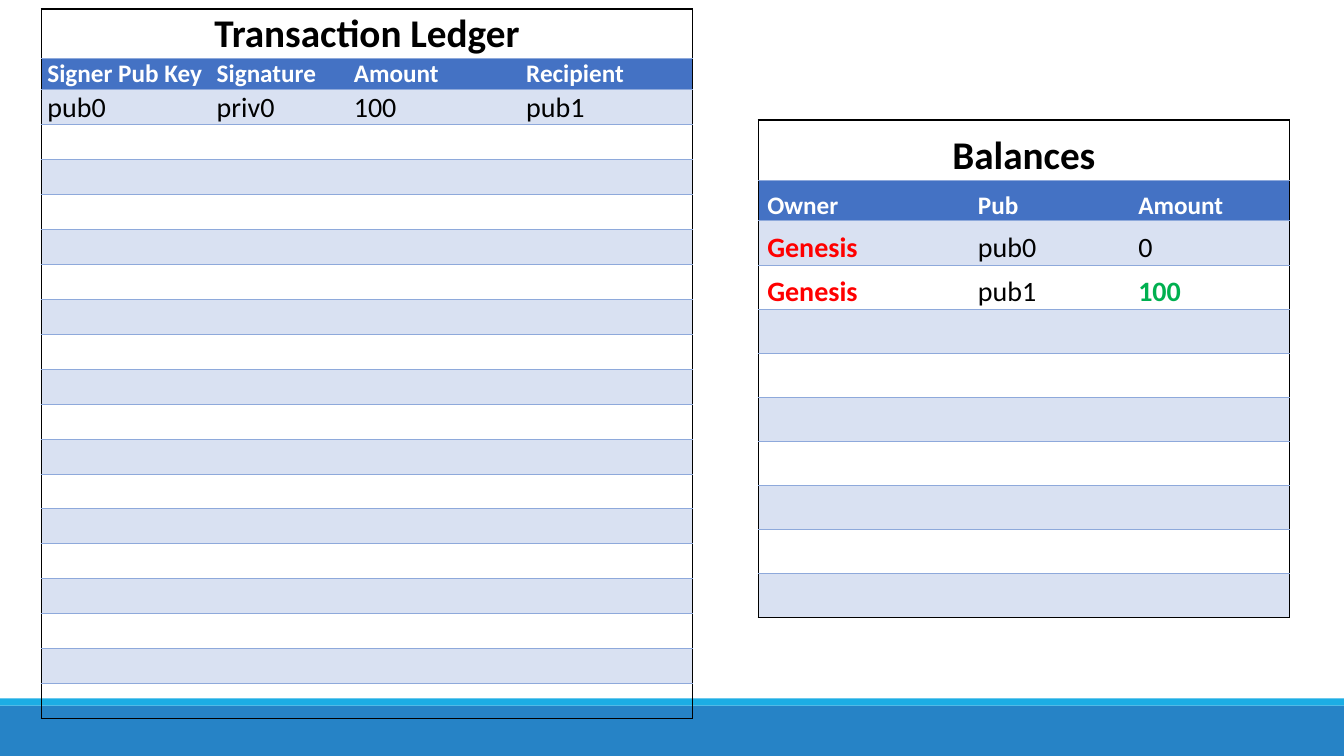
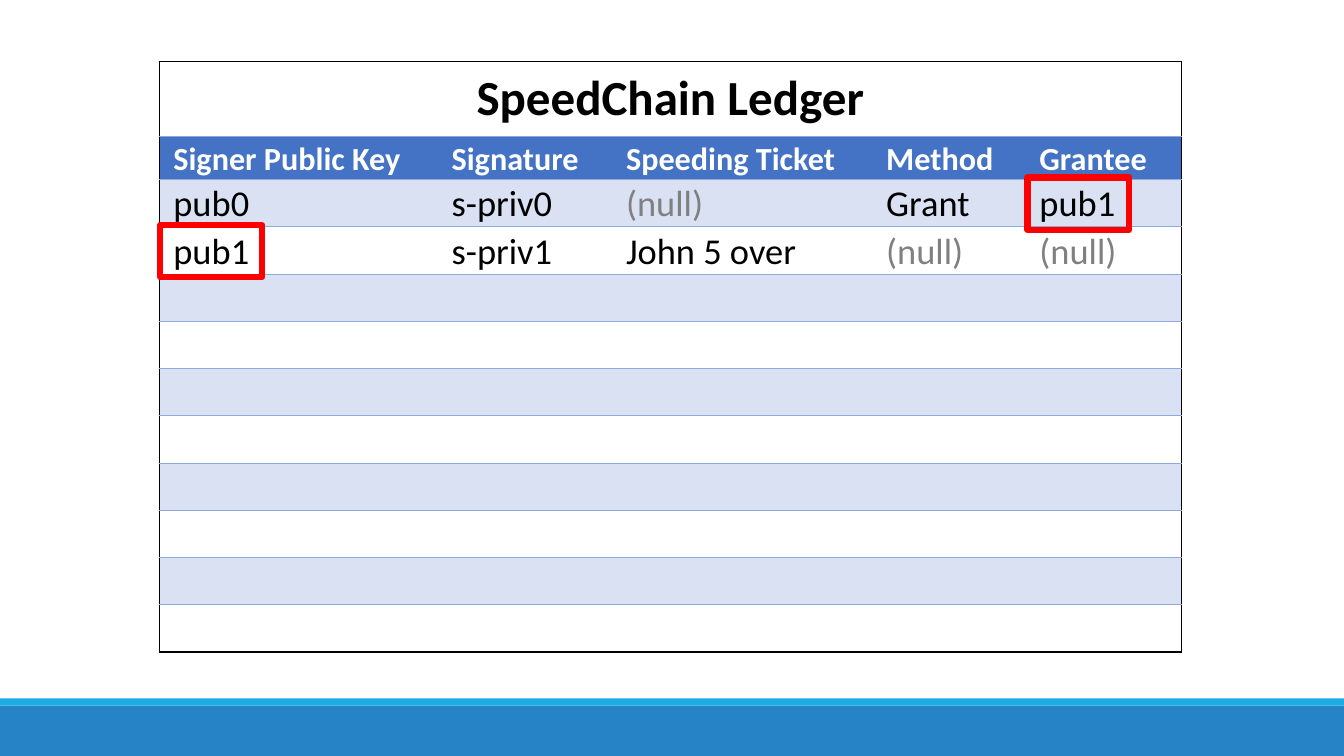
from lxml import etree
from pptx import Presentation
from pptx.dml.color import RGBColor
from pptx.enum.shapes import MSO_SHAPE
from pptx.enum.text import MSO_ANCHOR, PP_ALIGN
from pptx.oxml.ns import qn
from pptx.util import Inches, Pt

RECTANGLE = MSO_SHAPE.RECTANGLE
BOTTOM = MSO_ANCHOR.BOTTOM
CENTER, LEFT = PP_ALIGN.CENTER, PP_ALIGN.LEFT

BLACK = RGBColor(0x00, 0x00, 0x00)
WHITE = RGBColor(0xFF, 0xFF, 0xFF)
GRAY = RGBColor(0x80, 0x80, 0x80)
RED = RGBColor(0xFF, 0x00, 0x00)
GREEN = RGBColor(0x00, 0xB0, 0x50)
FOOTER_BLUE = RGBColor(0x26, 0x83, 0xC6)
FOOTER_CYAN = RGBColor(0x1C, 0xAD, 0xE4)
HEADER_BLUE = RGBColor(0x44, 0x72, 0xC4)
STRIPE_BLUE = RGBColor(0xD9, 0xE1, 0xF2)
RULE_BLUE = RGBColor(0x8E, 0xA9, 0xDB)

FONT = "Calibri"
WIDTH, HEIGHT = 13.33, 7.5
NO_TABLE_STYLE = "{2D5ABB26-0587-4C30-8999-92F81FD0307C}"
OUTER, INNER = (BLACK, 1), (RULE_BLUE, 0.5)


class LedgerDeck:
    """Holds the deck style and the current page."""

    def __init__(self):
        self.deck = Presentation()
        self.deck.slide_width = Inches(WIDTH)
        self.deck.slide_height = Inches(HEIGHT)
        self.page = None

    def add_page(self):
        """Start a blank page with the footer bands."""
        self.page = self.deck.slides.add_slide(self.deck.slide_layouts[6])
        self.rectangle(0, 7, WIDTH, 0.5, fill=FOOTER_BLUE)
        self.rectangle(0, 6.93, WIDTH, 0.07, fill=FOOTER_CYAN)

    def rectangle(self, left, top, width, height, fill=None, line=None):
        """Draw a rectangle, either filled or outlined."""
        box = self.page.shapes.add_shape(
            RECTANGLE, Inches(left), Inches(top), Inches(width), Inches(height))
        box.shadow.inherit = False
        if fill is None:
            box.fill.background()
        else:
            box.fill.solid()
            box.fill.fore_color.rgb = fill
        if line is None:
            box.line.fill.background()
        else:
            box.line.color.rgb = line
            box.line.width = Pt(4.5)

    def highlight(self, left, top):
        """Frame one table entry in red."""
        self.rectangle(left, top, 1.01, 0.52, line=RED)

    def borders(self, cell, **edges):
        """Give a cell its edge lines, in left, right, top, bottom order."""
        properties = cell._tc.get_or_add_tcPr()
        for side in ("L", "R", "T", "B"):
            if edges.get(side):
                color, points = edges[side]
                line = etree.SubElement(properties, qn(f"a:ln{side}"), w=str(Pt(points)))
                fill = etree.SubElement(line, qn("a:solidFill"))
                etree.SubElement(fill, qn("a:srgbClr"), val=str(color))

    def cell_text(self, cell, text, size, color, bold, inset, align=LEFT, bottom=0):
        """Set styled text at the bottom of a cell."""
        cell.vertical_anchor = BOTTOM
        cell.margin_left = Inches(inset)
        cell.margin_right = cell.margin_top = 0
        cell.margin_bottom = Inches(bottom)
        para = cell.text_frame.paragraphs[0]
        para.text = text
        para.alignment = align
        para.font.name = FONT
        para.font.size = Pt(size)
        para.font.bold = bold
        para.font.color.rgb = color

    def ledger(self, title, headings, entries, place, columns, heights, blank_rows,
               sizes, inset, accents, title_bottom=0):
        """Add a table with a title row, a heading row and striped entries."""
        left, top, height = place
        title_size, heading_size, entry_size = sizes
        last_column = len(columns) - 1
        rows = [[title] + [""] * last_column, headings, *entries]
        rows += [[""] * len(columns)] * blank_rows
        entry_height = (height - sum(heights)) / (len(rows) - 2)
        frame = self.page.shapes.add_table(
            len(rows), len(columns), Inches(left), Inches(top),
            Inches(sum(columns)), Inches(height))
        table = frame.table
        table.first_row = table.horz_banding = False
        next(frame.element.iter(qn("a:tableStyleId"))).text = NO_TABLE_STYLE
        for column, width in zip(table.columns, columns):
            column.width = Inches(width)
        table.cell(0, 0).merge(table.cell(0, last_column))

        for row_number, texts in enumerate(rows):
            is_title, is_heading = row_number == 0, row_number == 1
            table.rows[row_number].height = Inches(
                heights[row_number] if row_number < 2 else entry_height)
            for column_number, text in enumerate(texts):
                cell = table.cell(row_number, column_number)
                self.borders(
                    cell,
                    L=OUTER if column_number == 0 else None,
                    R=OUTER if is_title or column_number == last_column else None,
                    T=OUTER if is_title else INNER,
                    B=OUTER if row_number == len(rows) - 1 else INNER)
                if is_title or row_number % 2:
                    cell.fill.background()
                else:
                    cell.fill.solid()
                    cell.fill.fore_color.rgb = STRIPE_BLUE
                if is_title:
                    self.cell_text(cell, text, title_size, BLACK, True, 0, CENTER, title_bottom)
                elif is_heading:
                    cell.fill.solid()
                    cell.fill.fore_color.rgb = HEADER_BLUE
                    self.cell_text(cell, text, heading_size, WHITE, True, inset)
                else:
                    color, bold = accents.get(text, (BLACK, False))
                    self.cell_text(cell, text, entry_size, color, bold, inset)


def main():
    """Build both pages."""
    ledgers = LedgerDeck()

    ledgers.add_page()
    ledgers.ledger(
        "Transaction Ledger",
        ["Signer Pub Key", "Signature", "Amount", "Recipient"],
        [["pub0", "priv0", "100", "pub1"]],
        place=(0.41, 0.09, 7.04), columns=[1.68, 1.36, 1.71, 1.71],
        heights=[0.49, 0.31], blank_rows=17, sizes=(28, 18, 20), inset=0.06, accents={})
    ledgers.ledger(
        "Balances",
        ["Owner", "Pub", "Amount"],
        [["Genesis", "pub0", "0"], ["Genesis", "pub1", "100"]],
        place=(7.52, 1.19, 4.94), columns=[2.09, 1.59, 1.59],
        heights=[0.6, 0.4], blank_rows=7, sizes=(28, 18, 20), inset=0.09,
        accents={"Genesis": (RED, True), "100": (GREEN, True)})

    ledgers.add_page()
    ledgers.ledger(
        "SpeedChain Ledger",
        ["Signer Public Key", "Signature", "Speeding Ticket", "Method", "Grantee"],
        [["pub0", "s-priv0", "(null)", "Grant", "pub1"],
         ["pub1", "s-priv1", "John 5 over", "(null)", "(null)"]],
        place=(1.58, 0.61, 5.86), columns=[2.76, 1.73, 2.58, 1.52, 1.55],
        heights=[0.74, 0.43], blank_rows=8, sizes=(35, 23, 26), inset=0.14,
        accents={"(null)": (GRAY, False)}, title_bottom=0.07)
    ledgers.highlight(10.19, 1.76)
    ledgers.highlight(1.59, 2.23)

    ledgers.deck.save("out.pptx")


if __name__ == "__main__":
    main()
